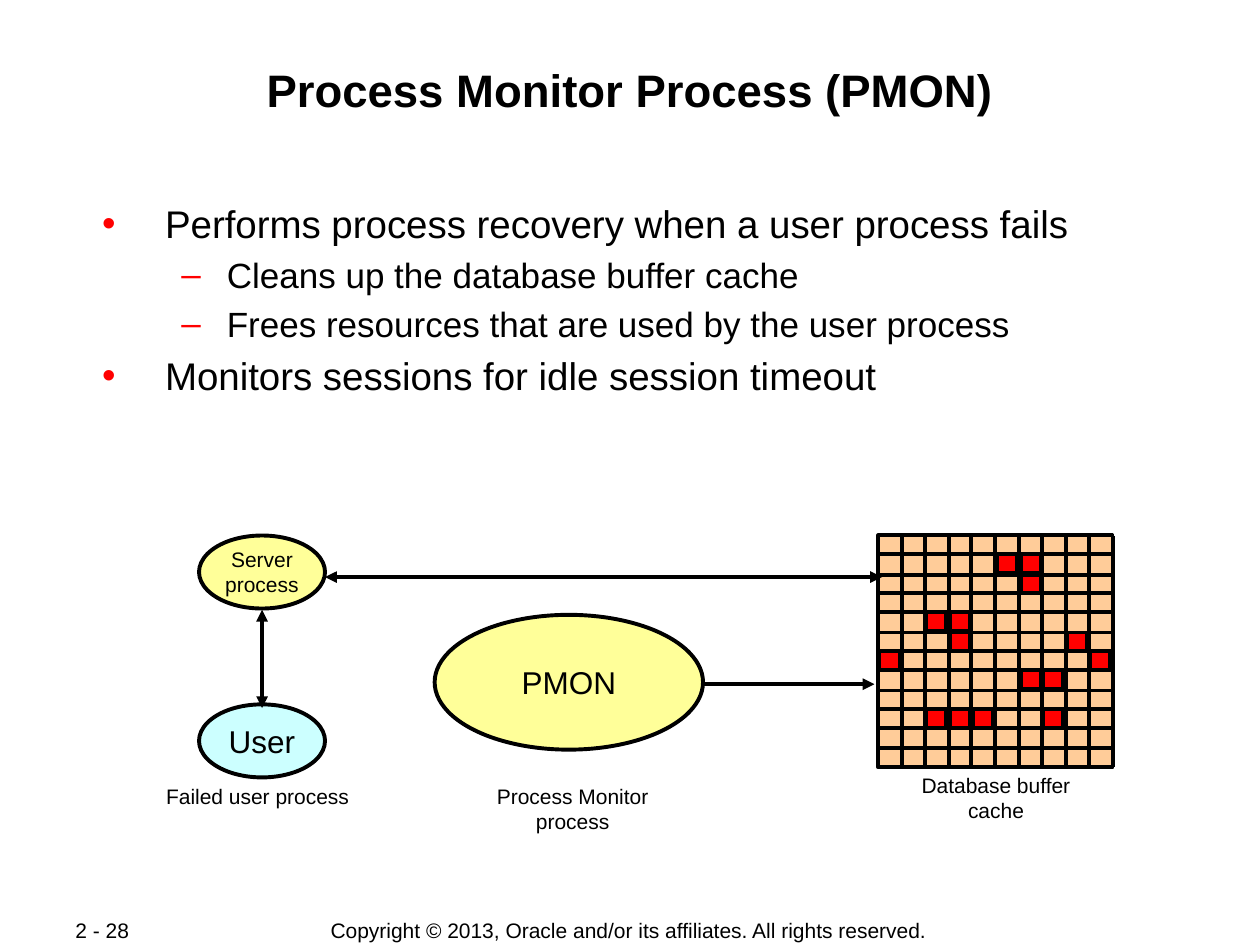
from dataclasses import dataclass
from lxml import etree
from pptx import Presentation
from pptx import util as u
from pptx.dml.color import RGBColor
from pptx.enum import shapes, text
from pptx.oxml.ns import qn

PX = 9144  # EMU per px, 100 px to the inch
FONT = "Arial"
BLACK, RED, PEACH = "000000", "FF0000", "FFCC99"
YELLOW, CYAN = "FFFF99", "CCFFFF"
CENTER, LEFT = text.PP_ALIGN.CENTER, text.PP_ALIGN.LEFT
TOP, MIDDLE = text.MSO_ANCHOR.TOP, text.MSO_ANCHOR.MIDDLE


@dataclass
class Rect:
    left: int
    top: int
    width: int
    height: int

    def emu(self) -> list[int]:
        return [v * PX for v in (self.left, self.top, self.width, self.height)]


@dataclass
class Oval:
    rect: Rect
    lines: list[str]
    size: int
    fill: str


@dataclass
class Label:
    rect: Rect
    words: str
    align: int = CENTER
    anchor: int = TOP


@dataclass
class Bullet:
    words: str
    level: int


@dataclass
class BulletStyle:
    size: int
    indent: int
    hanging: int
    mark: str


@dataclass
class Line:
    start: tuple[int, int]
    end: tuple[int, int]
    head: bool = False
    tail: bool = False


def color(value: str) -> RGBColor:
    return RGBColor.from_string(value)


def add_span(para, words: str, size: int, bold: bool = False) -> None:
    span = para.add_run()
    span.text = words
    span.font.name, span.font.size, span.font.bold = FONT, u.Pt(size), bold
    span.font.color.rgb = color(BLACK)


def place(holder, rect: Rect):
    """Move a placeholder and return its text frame, set tight at the top."""
    holder.left, holder.top, holder.width, holder.height = rect.emu()
    frame = holder.text_frame
    frame.auto_size = text.MSO_AUTO_SIZE.NONE
    frame.vertical_anchor = TOP
    frame.margin_left = frame.margin_right = PX
    frame.margin_top = frame.margin_bottom = PX
    frame.paragraphs[0].space_before = u.Pt(0)
    return frame


def add_bullet(para, bullet: Bullet, style: BulletStyle) -> None:
    para.level = bullet.level
    props = para._p.get_or_add_pPr()
    props.set("marL", str(style.indent * PX))
    props.set("indent", str(-style.hanging * PX))
    tint = etree.SubElement(props, qn("a:buClr"))
    etree.SubElement(tint, qn("a:srgbClr"), val=RED)
    etree.SubElement(props, qn("a:buFont"), typeface=FONT)
    etree.SubElement(props, qn("a:buChar"), char=style.mark)
    add_span(para, bullet.words, style.size)


def add_label(page, label: Label) -> None:
    frame = page.shapes.add_textbox(*label.rect.emu()).text_frame
    frame.word_wrap = True
    frame.vertical_anchor = label.anchor
    para = frame.paragraphs[0]
    para.alignment = label.align
    add_span(para, label.words, 12)


def add_block(page, kind: int, rect: Rect, fill: str):
    shape = page.shapes.add_shape(kind, *rect.emu())
    shape.shadow.inherit = False
    shape.fill.solid()
    shape.fill.fore_color.rgb = color(fill)
    shape.line.color.rgb = color(BLACK)
    shape.line.width = u.Pt(2.25)
    return shape


def add_oval(page, oval: Oval) -> None:
    frame = add_block(page, shapes.MSO_SHAPE.OVAL, oval.rect, oval.fill).text_frame
    frame.word_wrap = False
    frame.vertical_anchor = MIDDLE
    para = frame.paragraphs[0]
    para.alignment = CENTER
    for index, words in enumerate(oval.lines):
        if index:
            para.add_line_break()
        add_span(para, words, oval.size)


def add_line(page, line: Line) -> None:
    ends = [v * PX for v in (*line.start, *line.end)]
    connector = page.shapes.add_connector(shapes.MSO_CONNECTOR.STRAIGHT, *ends)
    connector.line.color.rgb = color(BLACK)
    connector.line.width = u.Pt(2.25)
    for tag, wanted in (("a:headEnd", line.head), ("a:tailEnd", line.tail)):
        if wanted:
            etree.SubElement(connector.get_or_add_ln(), qn(tag), type="triangle")
    etree.SubElement(connector._element.spPr, qn("a:effectLst"))


def add_cache(page, rect: Rect, cols: int, rows: int, used: list[tuple[int, int]]) -> None:
    """Draw the buffer grid and mark the used cells, given as (column, row)."""
    xs = [rect.left + round(i * rect.width / cols) for i in range(cols + 1)]
    ys = [rect.top + round(i * rect.height / rows) for i in range(rows + 1)]
    add_block(page, shapes.MSO_SHAPE.RECTANGLE, rect, PEACH)
    for x in xs:
        add_line(page, Line((x, ys[0]), (x, ys[-1])))
    for y in ys:
        add_line(page, Line((xs[0], y), (xs[-1], y)))
    for col, row in used:
        cell = Rect(xs[col] + 1, ys[row], 16, 15)
        add_block(page, shapes.MSO_SHAPE.RECTANGLE, cell, RED)


STYLES = [BulletStyle(22, 63, 50, "•"), BulletStyle(20, 112, 36, "–")]
BULLETS = [
    Bullet("Performs process recovery when a user process fails", 0),
    Bullet("Cleans up the database buffer cache", 1),
    Bullet("Frees resources that are used by the user process", 1),
    Bullet("Monitors sessions for idle session timeout", 0),
]
LABELS = [
    Label(Rect(239, 728, 520, 21), "Copyright © 2013, Oracle and/or its affiliates. All rights reserved.",
          anchor=MIDDLE),
    Label(Rect(50, 728, 106, 20), "2 - 28", align=LEFT, anchor=MIDDLE),
    Label(Rect(117, 617, 175, 50), "Failed user process"),
    Label(Rect(367, 617, 175, 50), "Process Monitor process"),
    Label(Rect(703, 608, 175, 50), "Database buffer cache"),
]
OVALS = [
    Oval(Rect(158, 559, 100, 58), ["User"], 18, CYAN),
    Oval(Rect(345, 488, 213, 107), ["PMON"], 18, YELLOW),
    Oval(Rect(158, 425, 100, 58), ["Server", "process"], 12, YELLOW),
]
ARROWS = [
    Line((558, 543), (694, 543), tail=True),
    Line((258, 458), (700, 458), head=True, tail=True),
    Line((208, 562), (208, 484), head=True, tail=True),
]
USED_CELLS = [(5, 1), (6, 1), (6, 2), (2, 4), (3, 4), (3, 5), (8, 5), (0, 6),
              (9, 6), (6, 7), (7, 7), (2, 9), (3, 9), (4, 9), (7, 9)]


def main() -> None:
    deck = Presentation()
    deck.slide_width, deck.slide_height = 1000 * PX, 750 * PX
    page = deck.slides.add_slide(deck.slide_layouts[1])

    # Title and list
    heading = place(page.shapes.title, Rect(67, 48, 866, 96)).paragraphs[0]
    heading.alignment = CENTER
    add_span(heading, "Process Monitor Process (PMON)", 26, bold=True)
    body = place(page.placeholders[1], Rect(67, 158, 866, 165))
    for index, bullet in enumerate(BULLETS):
        style = STYLES[bullet.level]
        para = body.add_paragraph() if index else body.paragraphs[0]
        para.space_before = u.Pt(style.size / 5 if index else 0)
        add_bullet(para, bullet, style)

    # Diagram, captions and footer
    for label in LABELS:
        add_label(page, label)
    add_cache(page, Rect(697, 425, 186, 184), 10, 12, USED_CELLS)
    for oval in OVALS:
        add_oval(page, oval)
    for arrow in ARROWS:
        add_line(page, arrow)
    deck.save("out.pptx")


if __name__ == "__main__":
    main()
